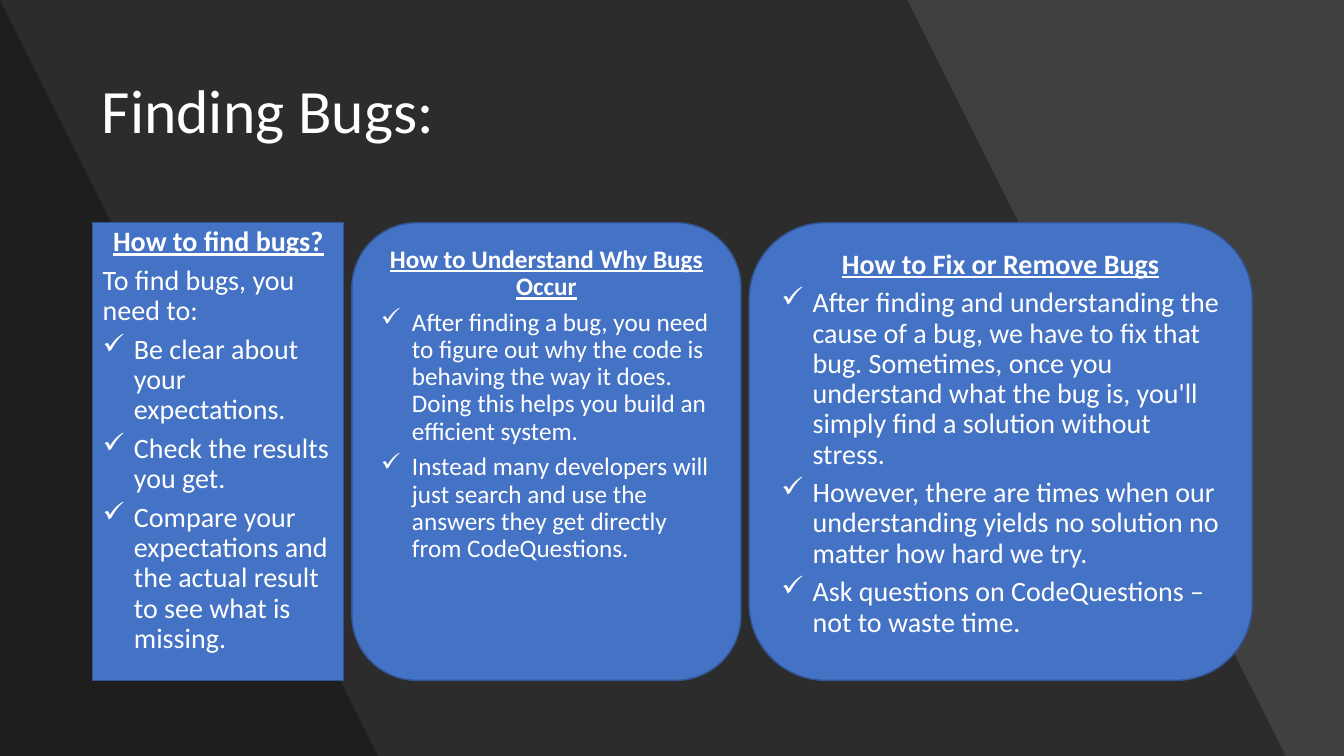
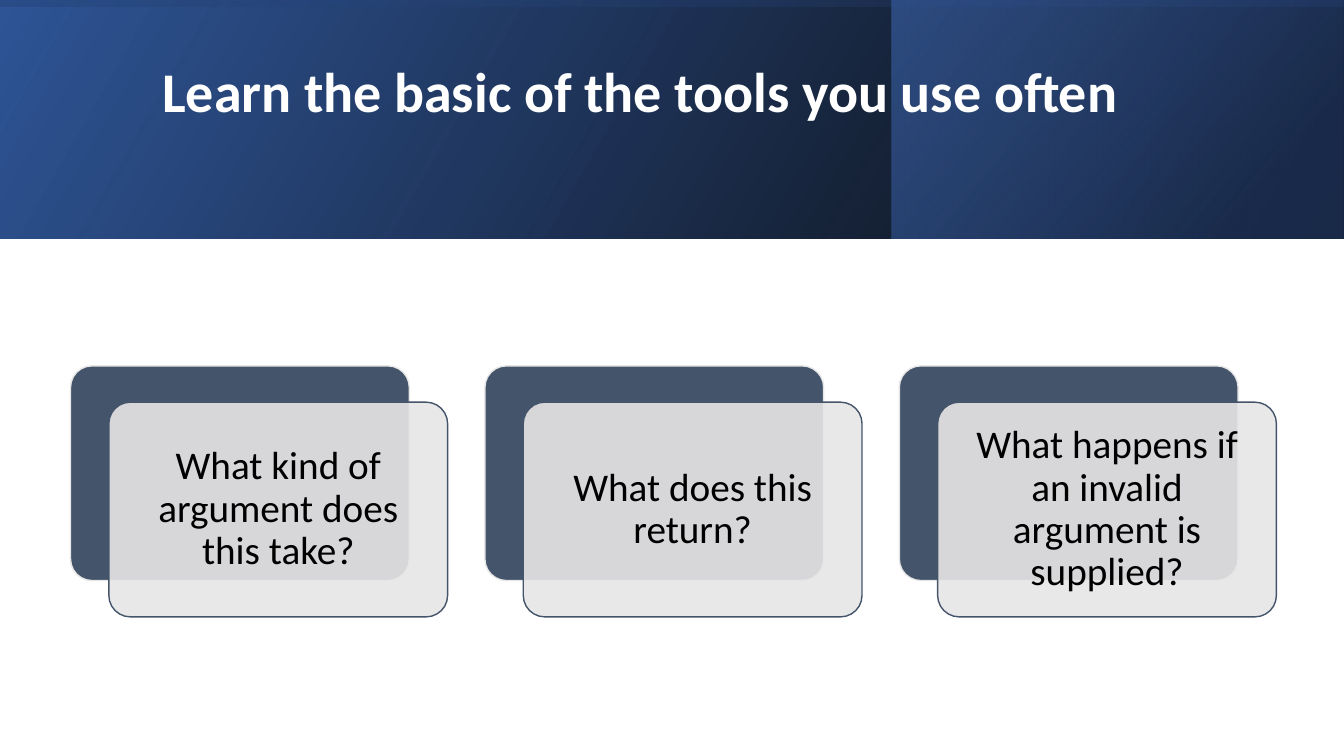
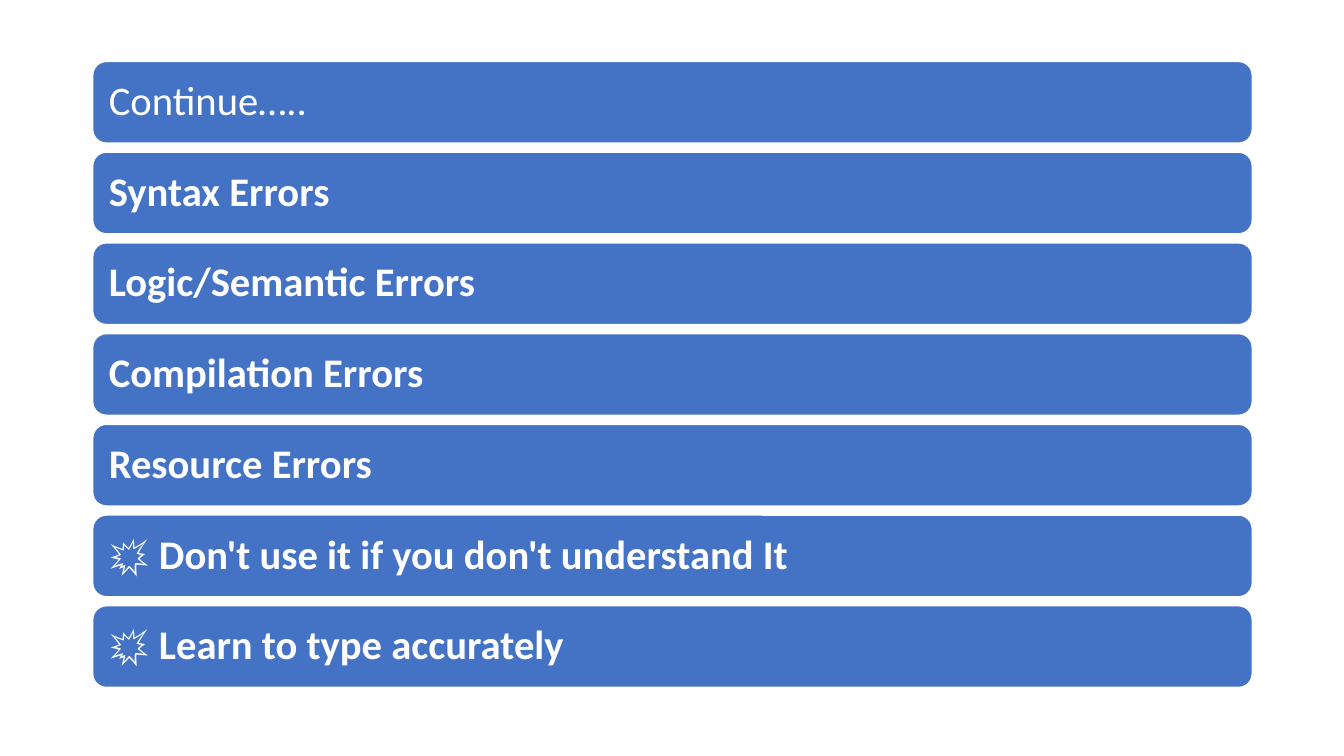
import pptx
import pptx.dml.color
import pptx.enum.shapes
import pptx.enum.text
import pptx.oxml
import pptx.oxml.ns
import pptx.util
from pptx.util import Inches

FONT = "Calibri"
WHITE, BLACK, GRAPHITE = "FFFFFF", "000000", "404040"
BLUE, BLUE_EDGE, NAVY = "4472C4", "325491", "2F5597"
SLATE, SILVER = "44546A", "E7E6E6"

SHAPES = pptx.enum.shapes.MSO_SHAPE
ALIGN = pptx.enum.text.PP_ALIGN
ANCHOR = pptx.enum.text.MSO_ANCHOR
TITLE_ONLY, BLANK = 5, 6

HEADING = {"bold": True, "underline": True}
COLUMN_TOP, COLUMN_HEIGHT = 2.21, 4.54
CARD_INSETS = (0.12, 0.12, 0.12, 0.12)

# Each column: preset, left, width, text size, heading, lead-in, bullets
COLUMNS = [
    (SHAPES.RECTANGLE, 0.92, 2.49, 20, "How to find bugs?",
     "To find bugs, you need to:",
     ["Be clear about your expectations.",
      "Check the results you get.",
      "Compare your expectations and the actual result to see what is missing."]),
    (SHAPES.ROUNDED_RECTANGLE, 3.49, 3.86, 18, "How to Understand Why Bugs Occur",
     None,
     ["After finding a bug, you need to figure out why the code is behaving the way "
      "it does. Doing this helps you build an efficient system.",
      "Instead many developers will just search and use the answers they get directly "
      "from CodeQuestions."]),
    (SHAPES.ROUNDED_RECTANGLE, 7.43, 4.99, 20, "How to Fix or Remove Bugs",
     None,
     ["After finding and understanding the cause of a bug, we have to fix that bug. "
      "Sometimes, once you understand what the bug is, you'll simply find a solution "
      "without stress.",
      "However, there are times when our understanding yields no solution no matter "
      "how hard we try.",
      "Ask questions on CodeQuestions – not to waste time."]),
]
QUESTIONS = [
    "What kind of argument does this take?",
    "What does this return?",
    "What happens if an invalid argument is supplied?",
]
BARS = [
    "Continue…..",
    "Syntax Errors",
    "Logic/Semantic Errors",
    "Compilation Errors",
    "Resource Errors",
    "💥 Don't use it if you don't understand It",
    "💥 Learn to type accurately",
]


def colour(value):
    """Turn a hex string into a colour."""
    return pptx.dml.color.RGBColor.from_string(value)


def add_page(deck, layout, background):
    """Add a slide with a plain background."""
    page = deck.slides.add_slide(deck.slide_layouts[layout])
    page.background.fill.solid()
    page.background.fill.fore_color.rgb = colour(background)
    return page


def paint(shape, fill, edge=None, opacity=100):
    """Set the fill, its opacity and the outline of a shape."""
    shape.shadow.inherit = False
    shape.fill.solid()
    shape.fill.fore_color.rgb = colour(fill)
    if opacity < 100:
        tint = shape.element.spPr.find(".//" + pptx.oxml.ns.qn("a:srgbClr"))
        tint.append(pptx.oxml.parse_xml(
            f'<a:alpha {pptx.oxml.ns.nsdecls("a")} val="{opacity * 1000}"/>'))
    if edge:
        shape.line.color.rgb = colour(edge)
        shape.line.width = pptx.util.Pt(1)
    else:
        shape.line.fill.background()


def add_box(page, preset, place, fill, edge, opacity=100, corner=None):
    """Add a painted preset shape at left, top, width, height."""
    box = page.shapes.add_shape(preset, *map(Inches, place))
    paint(box, fill, edge, opacity)
    if corner is not None:
        box.adjustments[0] = corner
    return box


def set_frame(shape, anchor, insets=(0.1, 0.05, 0.1, 0.05)):
    """Prepare the text frame of a shape; insets are left, top, right, bottom."""
    frame = shape.text_frame
    settings = {"word_wrap": True, "vertical_anchor": anchor,
                "auto_size": pptx.enum.text.MSO_AUTO_SIZE.NONE}
    sides = ("margin_left", "margin_top", "margin_right", "margin_bottom")
    settings.update(zip(sides, map(Inches, insets)))
    for name, value in settings.items():
        setattr(frame, name, value)
    return frame


def write(para, text, size, ink=WHITE, align=ALIGN.LEFT, after=0, **style):
    """Write one formatted run into a paragraph."""
    spacing = {"alignment": align, "line_spacing": 0.9,
               "space_before": pptx.util.Pt(0), "space_after": pptx.util.Pt(after)}
    for name, value in spacing.items():
        setattr(para, name, value)
    span = para.add_run()
    span.text = text
    for name, value in {"name": FONT, "size": pptx.util.Pt(size), **style}.items():
        setattr(span.font, name, value)
    span.font.color.rgb = colour(ink)


def add_check(para):
    """Give a paragraph a hanging check mark."""
    properties = para._p.get_or_add_pPr()
    properties.set("marL", str(Inches(0.31)))
    properties.set("indent", str(Inches(-0.31)))
    properties.append(pptx.oxml.parse_xml(
        f'<a:buChar {pptx.oxml.ns.nsdecls("a")} char="✓"/>'))


def set_title(page, text, place, size, bottom=0.05, **style):
    """Place and format the title, in front of what is already drawn."""
    title = page.shapes.title
    title.left, title.top, title.width, title.height = map(Inches, place)
    frame = set_frame(title, ANCHOR.MIDDLE, (0.1, 0.05, 0.1, bottom))
    write(frame.paragraphs[0], text, size, **style)
    title.element.getparent().append(title.element)


def add_shade(page, top_right, bottom_right):
    """Darken the slide from its left edge to a slanted right edge."""
    builder = page.shapes.build_freeform(0, 0, scale=Inches(1))
    builder.add_line_segments([(top_right, 0), (bottom_right, 7.5), (0, 7.5)], close=True)
    paint(builder.convert_to_shape(), BLACK, opacity=30)


def add_gradient_band(page, place, angle, stops, rotation=0):
    """Add a mirrored band; stops are position, colour and opacity."""
    band = add_box(page, SHAPES.RECTANGLE, place, NAVY, None)
    band.rotation = rotation
    properties = band.element.spPr
    properties.find(pptx.oxml.ns.qn("a:xfrm")).set("flipH", "1")
    marks = "".join(
        f'<a:gs pos="{position * 1000}"><a:srgbClr val="{tint}">'
        f'<a:alpha val="{opacity * 1000}"/></a:srgbClr></a:gs>'
        for position, tint, opacity in stops)
    gradient = pptx.oxml.parse_xml(
        f'<a:gradFill {pptx.oxml.ns.nsdecls("a")}><a:gsLst>{marks}</a:gsLst>'
        f'<a:lin ang="{angle * 60000}" scaled="0"/></a:gradFill>')
    properties.replace(properties.find(pptx.oxml.ns.qn("a:solidFill")), gradient)


def add_column(page, preset, left, width, size, heading, lead, bullets):
    """Add a blue column with a heading, an optional lead-in and check marks."""
    box = add_box(page, preset, (left, COLUMN_TOP, width, COLUMN_HEIGHT), BLUE, BLUE_EDGE)
    frame = set_frame(box, ANCHOR.TOP)
    write(frame.paragraphs[0], heading, size, align=ALIGN.CENTER, after=6, **HEADING)
    if lead:
        write(frame.add_paragraph(), lead, size, after=6)
    for bullet in bullets:
        para = frame.add_paragraph()
        write(para, bullet, size, after=6)
        add_check(para)


def add_card(page, left, text):
    """Add a question card in front of a dark backing card."""
    add_box(page, SHAPES.ROUNDED_RECTANGLE, (left, 3.63, 3.36, 2.13),
            SLATE, SILVER, corner=0.1)
    front = add_box(page, SHAPES.ROUNDED_RECTANGLE, (left + 0.38, 3.99, 3.36, 2.13),
                    SILVER, SLATE, opacity=90, corner=0.1)
    frame = set_frame(front, ANCHOR.MIDDLE, CARD_INSETS)
    write(frame.paragraphs[0], text, 28, BLACK, ALIGN.CENTER)


def add_bar(page, top, text, bold):
    """Add a full-width bar with one line of text."""
    bar = add_box(page, SHAPES.ROUNDED_RECTANGLE, (0.92, top, 11.5, 0.81), BLUE, WHITE)
    frame = set_frame(bar, ANCHOR.MIDDLE, CARD_INSETS)
    write(frame.paragraphs[0], text, 29, bold=bold)


def build_finding_bugs(deck):
    """Build the slide with three columns on a dark ground."""
    page = add_page(deck, TITLE_ONLY, GRAPHITE)
    add_shade(page, 9.42, 12.89)
    add_shade(page, 0.44, 3.92)
    set_title(page, "Finding Bugs:", (0.91, 0.4, 11.51, 1.45), 44)
    for column in COLUMNS:
        add_column(page, *column)


def build_tool_questions(deck):
    """Build the slide with a gradient header and three question cards."""
    page = add_page(deck, TITLE_ONLY, WHITE)
    add_gradient_band(page, (0, 0, 13.33, 2.37), 330,
                      [(0, BLACK, 96), (100, NAVY, 100)])
    add_gradient_band(page, (8.84, 0, 4.48, 2.37), 320,
                      [(19, "203864", 68), (100, BLUE, 48)])
    add_gradient_band(page, (5.48, -5.48, 2.37, 13.33), 350,
                      [(23, NAVY, 16), (99, BLACK, 45)], rotation=270)
    set_title(page, "Learn the basic of the tools you use often",
              (1.51, 0.38, 10.63, 1.72), 40, bottom=0.65, bold=True)
    for index, question in enumerate(QUESTIONS):
        add_card(page, 0.7 + index * 4.11, question)


def build_error_list(deck):
    """Build the slide with a stack of bars."""
    page = add_page(deck, BLANK, WHITE)
    for index, text in enumerate(BARS):
        add_bar(page, 0.61 + index * 0.9, text, bold=index > 0)


def main():
    """Build and save the deck."""
    deck = pptx.Presentation()
    deck.slide_width, deck.slide_height = Inches(13.33), Inches(7.5)
    build_finding_bugs(deck)
    build_tool_questions(deck)
    build_error_list(deck)
    deck.save("out.pptx")


main()
